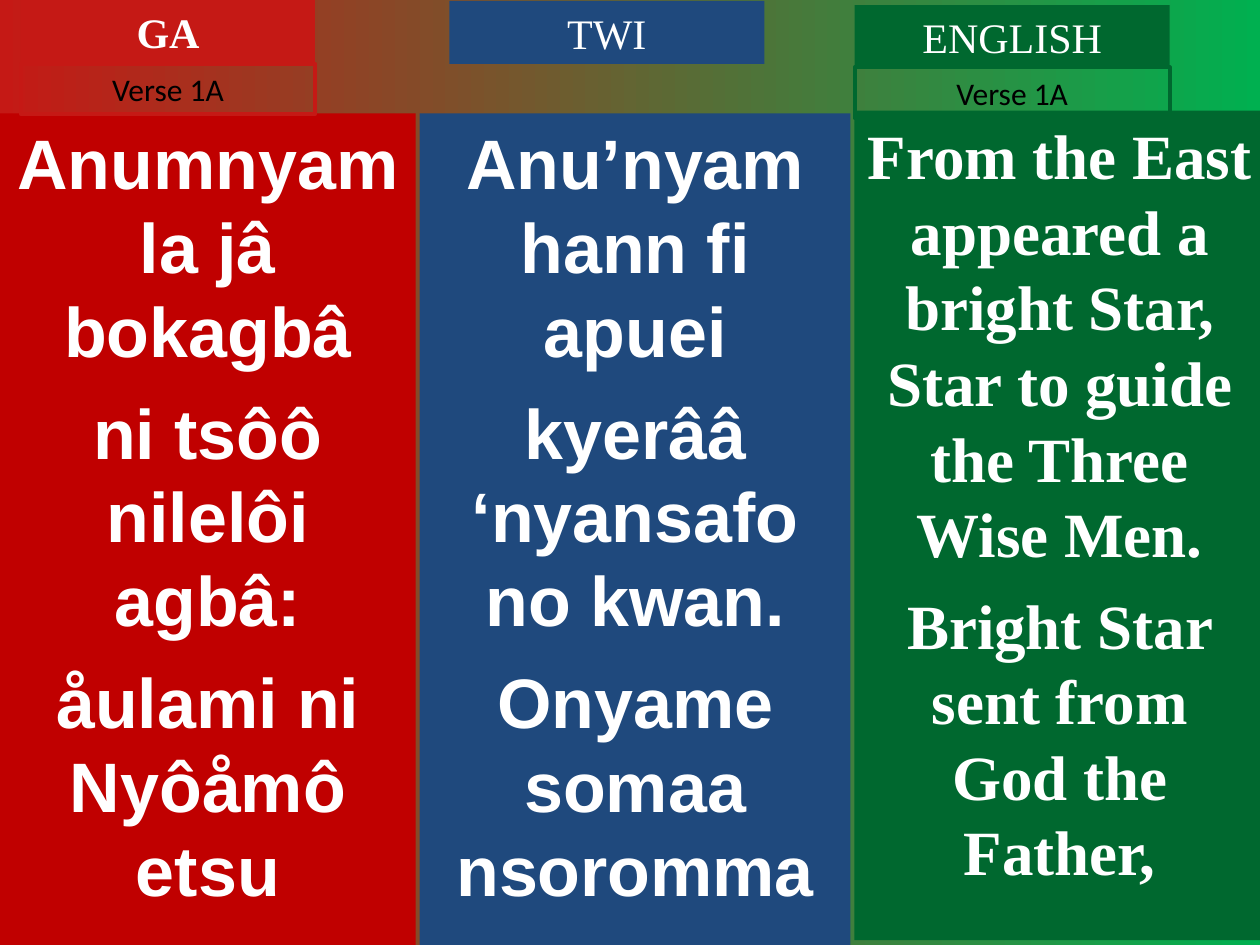
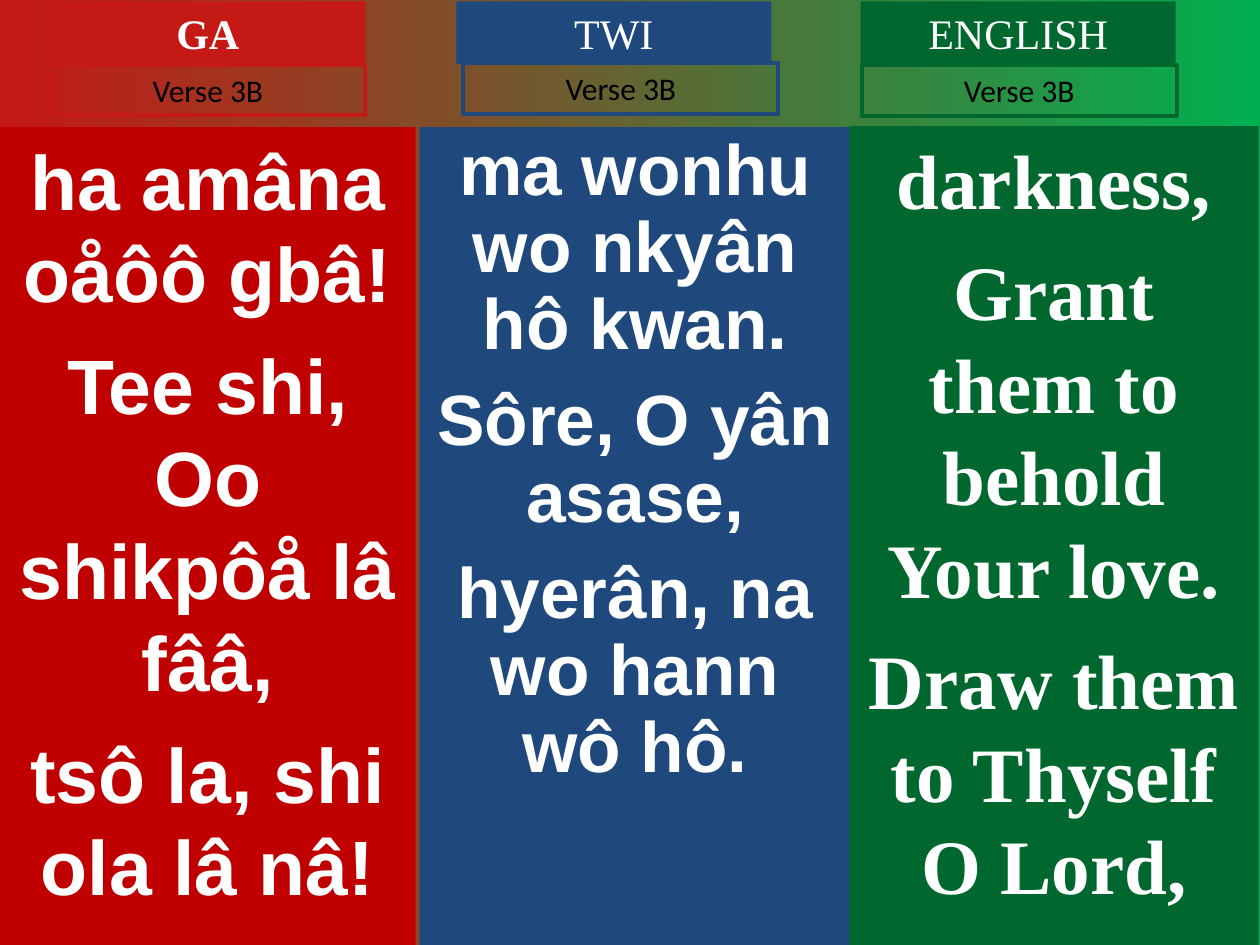
import pptx
import pptx.dml.color
import pptx.enum.shapes
import pptx.enum.text
import pptx.util

Pt = pptx.util.Pt
RGBColor = pptx.dml.color.RGBColor

WHITE = RGBColor(0xFF, 0xFF, 0xFF)
BLACK = RGBColor(0x00, 0x00, 0x00)
BRIGHT_RED = RGBColor(0xC5, 0x19, 0x15)
DEEP_RED = RGBColor(0xC0, 0x00, 0x00)
BLUE = RGBColor(0x1F, 0x49, 0x7D)
GREEN = RGBColor(0x00, 0x68, 0x2F)
BRIGHT_GREEN = RGBColor(0x00, 0xB0, 0x50)

SANS = "Arial"
SERIF = "Times New Roman"
LABEL_FONT = "Calibri"

GA_COLUMN = (0, 237.6)
TWI_COLUMN = (239.8, 246.2)


class HymnDeck:
    def __init__(self):
        self.deck = pptx.Presentation()
        self.deck.slide_width = Pt(720)
        self.deck.slide_height = Pt(540)
        fill = self.deck.slide_master.background.fill
        fill.gradient()
        fill.gradient_angle = 0
        for stop, color, position in zip(
            fill.gradient_stops, (BRIGHT_RED, BRIGHT_GREEN), (0, 1)
        ):
            stop.color.rgb = color
            stop.position = position
        self.page = None

    def new_page(self):
        self.page = self.deck.slides.add_slide(self.deck.slide_layouts[6])

    def box(self, place, fill=None, line=None, anchor=pptx.enum.text.MSO_ANCHOR.TOP):
        box = self.page.shapes.add_shape(
            pptx.enum.shapes.MSO_SHAPE.RECTANGLE, *(Pt(length) for length in place)
        )
        box.shadow.inherit = False
        if fill is None:
            box.fill.background()
        else:
            box.fill.solid()
            box.fill.fore_color.rgb = fill
        if line is None:
            box.line.fill.background()
        else:
            box.line.color.rgb = line
            box.line.width = Pt(2.25)
        frame = box.text_frame
        frame.word_wrap = True
        frame.vertical_anchor = anchor
        return frame

    def para(self, frame, text, font, size, color=WHITE, bold=False, first=True):
        para = frame.paragraphs[0] if first else frame.add_paragraph()
        para.alignment = pptx.enum.text.PP_ALIGN.CENTER
        span = para.add_run()
        span.text = text
        span.font.name = font
        span.font.size = Pt(size)
        span.font.color.rgb = color
        span.font.bold = bold
        return para

    def lyrics(self, place, color, font, size, gap, verses, spacing=1.0):
        frame = self.box(place, fill=color)
        for index, verse in enumerate(verses):
            para = self.para(frame, verse, font, size, bold=True, first=index == 0)
            para.line_spacing = Pt(size * 1.2 * spacing)
            if index:
                para.space_before = Pt(gap)

    def heading(self, language, left, top, color, width=180, bold=False):
        frame = self.box((left, top, width, 36), fill=color)
        self.para(frame, language, SERIF, 24, bold=bold)

    def verse_label(self, text, left, top, color, width=180):
        frame = self.box((left, top, width, 29), line=color)
        self.para(frame, text, LABEL_FONT, 18, color=BLACK)


def add_verse_1a(hymn):
    hymn.new_page()
    top, height = 64.8, 475.2
    hymn.lyrics(
        (GA_COLUMN[0], top, GA_COLUMN[1], height), DEEP_RED, SANS, 40, 10,
        ["Anumnyam la jâ bokagbâ", "ni tsôô nilelôi agbâ:", "åulami ni Nyôåmô etsu"],
    )
    hymn.lyrics(
        (TWI_COLUMN[0], top, TWI_COLUMN[1], height), BLUE, SANS, 40, 10,
        ["Anu’nyam hann fi apuei", "kyerââ ‘nyansafo no kwan.", "Onyame somaa nsoromma"],
    )
    hymn.heading("GA", 12, 0, BRIGHT_RED, width=168, bold=True)
    hymn.heading("TWI", 256.8, 0.6, BLUE)
    hymn.verse_label("Verse 1A", 12, 36.3, BRIGHT_RED, width=168)
    hymn.lyrics(
        (488.2, 63.2, 234.7, 474), GREEN, SERIF, 36, 9,
        [
            "From the East appeared a bright Star, Star to guide the Three Wise Men.",
            "Bright Star sent from God the Father,",
        ],
    )
    hymn.heading("ENGLISH", 488.4, 3, GREEN)
    hymn.verse_label("Verse 1A", 488.4, 38.5, GREEN)


def add_verse_3b(hymn):
    hymn.new_page()
    top, height = 72.6, 467.4
    hymn.lyrics(
        (GA_COLUMN[0], top, GA_COLUMN[1], height), DEEP_RED, SANS, 44, 11,
        ["ha amâna oåôô gbâ!", "Tee shi, Oo shikpôå lâ fââ,", "tsô la, shi ola lâ nâ!"],
    )
    hymn.lyrics(
        (TWI_COLUMN[0], top, TWI_COLUMN[1], height), BLUE, SANS, 40.7, 11,
        ["ma wonhu wo nkyân hô kwan.", "Sôre, O yân asase,", "hyerân, na wo hann wô hô."],
        spacing=0.9,
    )
    hymn.heading("GA", 28.8, 0.8, BRIGHT_RED, bold=True)
    hymn.heading("TWI", 260.8, 0.8, BLUE)
    hymn.verse_label("Verse 3B", 28.8, 37, BRIGHT_RED)
    hymn.verse_label("Verse 3B", 264.8, 36, BLUE)
    hymn.lyrics(
        (485.3, 72, 234, 468.7), GREEN, SERIF, 44, 11,
        ["darkness,", "Grant them to behold Your love.", "Draw them to Thyself O Lord,"],
    )
    hymn.heading("ENGLISH", 491.8, 0.8, GREEN)
    hymn.verse_label("Verse 3B", 492.5, 37.3, GREEN)


def main():
    hymn = HymnDeck()
    add_verse_1a(hymn)
    add_verse_3b(hymn)
    hymn.deck.save("out.pptx")


if __name__ == "__main__":
    main()
